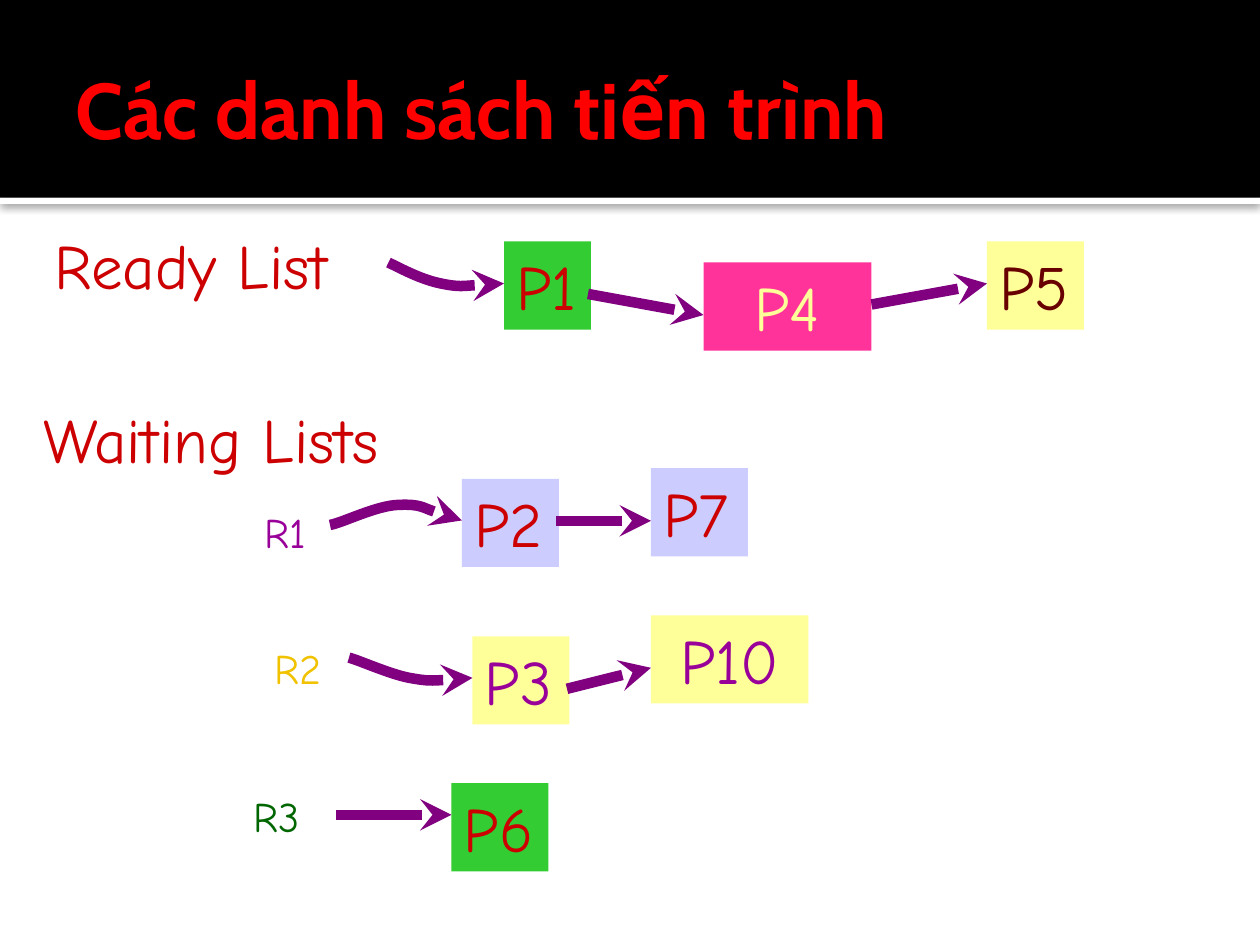
from lxml.etree import SubElement
from pptx import Presentation
from pptx.dml.color import RGBColor
from pptx.enum.shapes import MSO_CONNECTOR as CONNECTOR, MSO_SHAPE as SHAPE
from pptx.enum.text import MSO_ANCHOR as ANCHOR, MSO_AUTO_SIZE as AUTO_SIZE, PP_ALIGN as ALIGN
from pptx.oxml import parse_xml
from pptx.oxml.ns import nsdecls, qn
from pptx.util import Pt

color = RGBColor.from_string
WHITE, BLACK, RED, PURPLE = "FFFFFF", "000000", "CC0000", "990099"
GREEN, PINK, YELLOW, LILAC = "33CC33", "FF3399", "FFFF99", "CCCCFF"
BOX_WIDTH, BOX_HEIGHT = 55.4, 50.4

presentation = Presentation()
presentation.slide_width, presentation.slide_height = Pt(720), Pt(540)
slide = presentation.slides.add_slide(presentation.slide_layouts[6])
shapes = slide.shapes


def write(shape, text, size, hex_color, font="Comic Neue"):
    """Put one line of text into a shape that grows with it."""
    frame = shape.text_frame
    frame.word_wrap = False
    frame.auto_size = AUTO_SIZE.SHAPE_TO_FIT_TEXT
    frame.vertical_anchor = ANCHOR.TOP
    paragraph = frame.paragraphs[0]
    paragraph.text = text
    paragraph.alignment = ALIGN.LEFT
    paragraph.font.name, paragraph.font.size = font, Pt(size)
    paragraph.font.color.rgb = color(hex_color)
    return frame


def style_arrow(arrow):
    arrow.line.color.rgb = color("800080")
    arrow.line.width = Pt(6)
    properties = arrow.element.spPr
    SubElement(properties.find(qn("a:ln")), qn("a:tailEnd"), type="stealth")
    if properties.find(qn("a:effectLst")) is None:
        SubElement(properties, qn("a:effectLst"))


# Header band with a white, shadowed edge
for top, height, fill in [(113, 3.6, WHITE), (0, 113, BLACK)]:
    band = shapes.add_shape(SHAPE.RECTANGLE, 0, Pt(top), Pt(720), Pt(height))
    band.fill.solid()
    band.fill.fore_color.rgb = color(fill)
    band.line.fill.background()
    if fill == BLACK:
        band.shadow.inherit = False
    else:
        band.element.spPr.append(parse_xml(
            f'<a:effectLst {nsdecls("a")}>'
            f'<a:outerShdw blurRad="{Pt(5)}" dist="{Pt(0.8)}" dir="5400000">'
            '<a:srgbClr val="000000"><a:alpha val="60000"/></a:srgbClr>'
            '</a:outerShdw></a:effectLst>'))

title = shapes.add_textbox(Pt(36), Pt(12.2), Pt(648), Pt(98.6))
title_frame = write(title, "Các danh sách tiến trình", 45, "FF0000", "Cabin")
title_frame.paragraphs[0].font.bold = True
title_frame.word_wrap = True
title_frame.auto_size = AUTO_SIZE.NONE
title_frame.vertical_anchor = ANCHOR.MIDDLE
title_frame.margin_right = Pt(3.6)

# List headings and resource names
for text, left, top, width, height, size, text_color in [
    ("Ready List", 24, 126, 190, BOX_HEIGHT, 36, RED),
    ("Waiting Lists", 18, 225.4, 238.3, BOX_HEIGHT, 36, RED),
    ("R1", 144, 286, 40.3, 36, 24, PURPLE),
    ("R2", 150, 363.6, 43.9, 36, 24, "F0C200"),
    ("R3", 138, 448, 43.9, 36, 24, "006600"),
]:
    label = shapes.add_textbox(Pt(left), Pt(top), Pt(width), Pt(height))
    write(label, text, size, text_color)

# Processes
for text, left, top, width, fill, text_color in [
    ("P1", 288, 138, 49.7, GREEN, RED),
    ("P4", 402, 150, 96, PINK, YELLOW),
    ("P5", 564, 138, BOX_WIDTH, YELLOW, "680000"),
    ("P7", 372, 267.6, BOX_WIDTH, LILAC, RED),
    ("P2", 264, 273.6, BOX_WIDTH, LILAC, RED),
    ("P10", 372, 351.6, 90, YELLOW, PURPLE),
    ("P3", 270, 363.6, BOX_WIDTH, YELLOW, PURPLE),
    ("P6", 258, 447.6, BOX_WIDTH, GREEN, RED),
]:
    process = shapes.add_shape(SHAPE.RECTANGLE, Pt(left), Pt(top), Pt(width), Pt(BOX_HEIGHT))
    process.fill.solid()
    process.fill.fore_color.rgb = color(fill)
    process.line.fill.background()
    process.shadow.inherit = False
    frame = write(process, text, 36, text_color)
    if width > BOX_WIDTH:
        frame.word_wrap = True
        frame.paragraphs[0].alignment = ALIGN.CENTER

# Straight arrows
for start_x, start_y, end_x, end_y in [
    (336, 168, 402, 180),
    (498, 174, 564, 162),
    (318, 297.6, 372, 297.6),
    (324, 393.6, 372, 381.6),
    (192, 465.6, 258, 465.6),
]:
    style_arrow(shapes.add_connector(
        CONNECTOR.STRAIGHT, Pt(start_x), Pt(start_y), Pt(end_x), Pt(end_y)))

# Curved arrows: a start point, then two control points and an end point per curve
for points in [
    [(222, 150), (231.8, 154.8), (241.2, 159.8), (252, 162),
     (262.8, 164.2), (275.8, 162.7), (288, 162)],
    [(199.4, 375.8), (205.2, 377.3), (222.5, 385.2), (234, 387.4),
     (245.5, 389.5), (257.8, 388.8), (270, 387.4)],
    [(188.6, 300), (195.8, 298.8), (215.3, 288.7), (228.2, 288.5),
     (240.5, 288), (256.3, 295.9), (264, 297.4)],
]:
    start, *others = [(Pt(x), Pt(y)) for x, y in points]
    builder = shapes.build_freeform(*start)
    builder.add_line_segments(others, close=False)
    curve = builder.convert_to_shape()
    curve.fill.background()
    curve.shadow.inherit = False
    # Turn each three line segments into one cubic curve
    outline = next(curve.element.iter(qn("a:path")))
    segments = outline.findall(qn("a:lnTo"))
    for first in range(0, len(segments), 3):
        cubic = SubElement(outline, qn("a:cubicBezTo"))
        for segment in segments[first:first + 3]:
            cubic.append(segment[0])
            outline.remove(segment)
    style_arrow(curve)

presentation.save("out.pptx")
